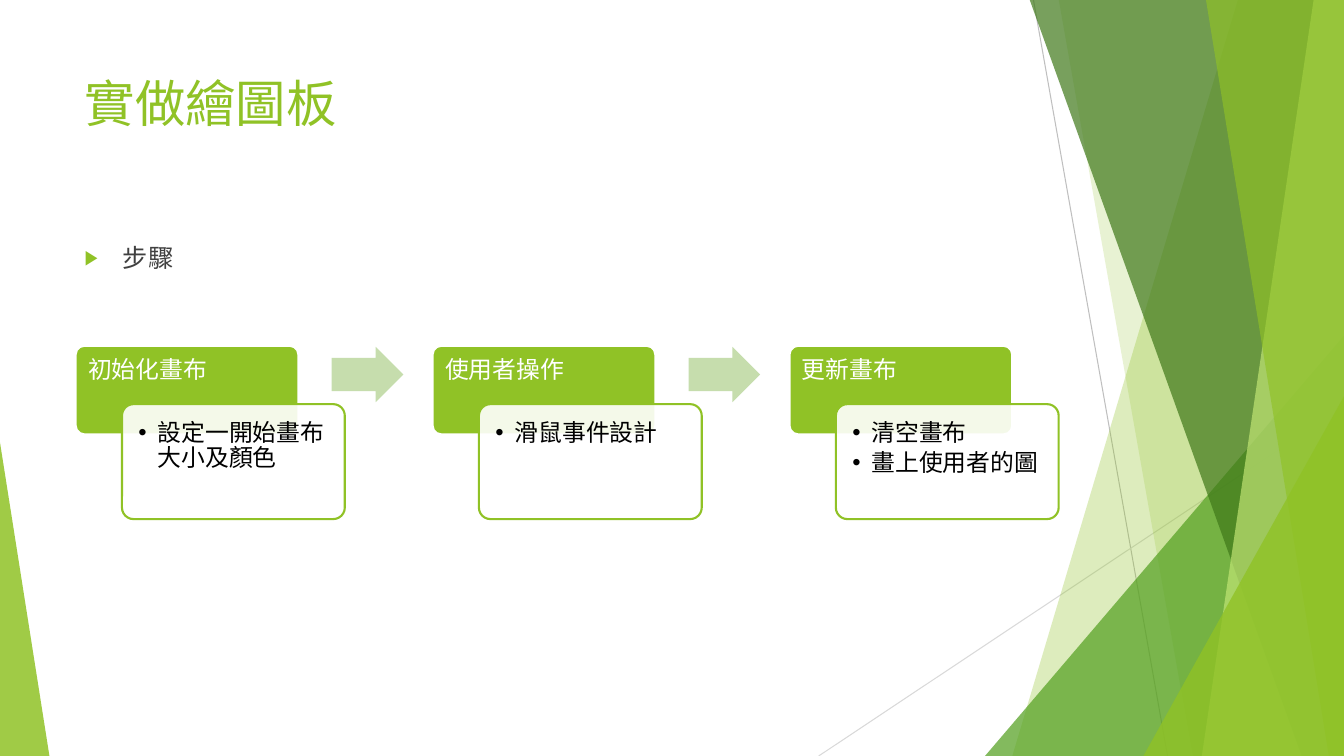
from pptx import Presentation
from pptx.dml.color import RGBColor
from pptx.enum.shapes import MSO_CONNECTOR as Connector, MSO_SHAPE as Shape
from pptx.enum.text import MSO_ANCHOR as Anchor, MSO_AUTO_SIZE as AutoSize, PP_ALIGN as Align
from pptx.oxml.ns import qn
from pptx.util import Inches, Pt
from lxml.etree import SubElement

FONT = "Lato"
WHITE = RGBColor(0xFF, 0xFF, 0xFF)
BLACK = RGBColor(0x00, 0x00, 0x00)
DARK_GRAY = RGBColor(0x40, 0x40, 0x40)
MID_GRAY = RGBColor(0xBF, 0xBF, 0xBF)
LIGHT_GRAY = RGBColor(0xD9, 0xD9, 0xD9)
LIME = RGBColor(0x90, 0xC2, 0x26)
LEAF = RGBColor(0x54, 0xA0, 0x21)
FOREST = RGBColor(0x3F, 0x78, 0x19)
PALE_LIME = RGBColor(0xC0, 0xE4, 0x74)
PALE_GREEN = RGBColor(0xC6, 0xDD, 0xAD)

WIDTH, HEIGHT = 13.33, 7.5
STEP_LEFT, STEP_PITCH = 0.75, 3.54
STEPS = [
    ("初始化畫布", ["設定一開始畫布大小及顏色"]),
    ("使用者操作", ["滑鼠事件設計"]),
    ("更新畫布", ["清空畫布", "畫上使用者的圖"]),
]


def paint(shape, color, opacity=100, line=None):
    shape.shadow.inherit = False
    shape.fill.solid()
    shape.fill.fore_color.rgb = color
    if opacity < 100:
        rgb = shape.element.spPr.find(qn("a:solidFill")).find(qn("a:srgbClr"))
        SubElement(rgb, qn("a:alpha"), val=str(opacity * 1000))
    if line is None:
        shape.line.fill.background()
    else:
        shape.line.color.rgb = line
        shape.line.width = Pt(1.5)


def add_preset(page, kind, left, top, width, height, adjustments):
    shape = page.shapes.add_shape(
        kind, Inches(left), Inches(top), Inches(width), Inches(height))
    for index, value in enumerate(adjustments):
        shape.adjustments[index] = value
    return shape


def add_line(page, start, end, color):
    line = page.shapes.add_connector(
        Connector.STRAIGHT, *(Inches(value) for value in start + end))
    line.line.color.rgb = color
    line.line.width = Pt(0.75)
    SubElement(line.element.spPr, qn("a:effectLst"))


def add_facet(page, top_left, bottom_left, color, opacity):
    """Full-height panel with a slanted left edge, reaching the right slide edge."""
    corners = [(top_left, -0.01), (WIDTH, -0.01), (WIDTH, HEIGHT), (bottom_left, HEIGHT)]
    points = [(Inches(x), Inches(y)) for x, y in corners]
    builder = page.shapes.build_freeform(*points[0], scale=1.0)
    builder.add_line_segments(points[1:], close=True)
    paint(builder.convert_to_shape(), color, opacity)


def add_corner(page, left, top, width, apex, color, opacity):
    """Right triangle standing on the bottom edge of the slide."""
    triangle = add_preset(
        page, Shape.ISOSCELES_TRIANGLE, left, top, width, HEIGHT - top, [apex])
    paint(triangle, color, opacity)


def add_bullet(para, char, indent, color=None, size=100):
    props = para._p.get_or_add_pPr()
    props.set("marL", str(Inches(indent)))
    props.set("indent", str(-Inches(indent)))
    if color is not None:
        SubElement(SubElement(props, qn("a:buClr")), qn("a:srgbClr"), val=str(color))
    SubElement(props, qn("a:buSzPct"), val=str(size * 1000))
    SubElement(props, qn("a:buFont"), typeface="Arial")
    SubElement(props, qn("a:buChar"), char=char)


def write(frame, lines, size, color, inset=(0.1, 0.05), spacing=None, after=0):
    frame.word_wrap = True
    frame.auto_size = AutoSize.NONE
    frame.vertical_anchor = Anchor.TOP
    frame.margin_left = frame.margin_right = Inches(inset[0])
    frame.margin_top = frame.margin_bottom = Inches(inset[1])
    for index, text in enumerate(lines):
        para = frame.paragraphs[0] if index == 0 else frame.add_paragraph()
        para.alignment = Align.LEFT
        para.line_spacing = spacing
        para.space_after = Pt(after)
        span = para.add_run()
        span.text = text
        span.font.name = FONT
        span.font.size = Pt(size)
        span.font.color.rgb = color


def add_backdrop(page):
    add_line(page, (10.25, 0), (11.58, HEIGHT), MID_GRAY)
    add_line(page, (WIDTH, 4.03), (8.12, HEIGHT), LIGHT_GRAY)
    add_facet(page, 12.28, 10.04, LIME, 30)
    add_facet(page, 10.5, 11.83, LIME, 20)
    add_corner(page, 9.77, 3.33, 3.56, 1, LEAF, 72)
    add_facet(page, 10.21, 12.91, FOREST, 70)
    add_facet(page, 13.03, 11.92, PALE_LIME, 70)
    add_facet(page, 11.96, 13.18, LIME, 65)
    add_corner(page, 11.34, 3.93, 1.99, 1, LIME, 80)
    add_corner(page, 0, 4.39, 0.49, 0, LIME, 85)


def add_title(page, text):
    title = page.shapes.title
    title.left, title.top = Inches(0.74), Inches(0.67)
    title.width, title.height = Inches(9.4), Inches(1.44)
    write(title.text_frame, [text], 36, LIME)


def add_intro(page, text):
    box = page.shapes.add_textbox(Inches(0.74), Inches(2.36), Inches(9.4), Inches(0.6))
    write(box.text_frame, [text], 18, DARK_GRAY)
    para = box.text_frame.paragraphs[0]
    para.space_before = Pt(10)
    add_bullet(para, "▶", 0.38, LIME, 80)


def add_step(page, left, heading, details):
    header = add_preset(page, Shape.ROUNDED_RECTANGLE, left, 3.43, 2.21, 0.88, [0.1])
    paint(header, LIME, line=WHITE)
    write(header.text_frame, [heading], 17, WHITE, inset=(0.1, 0.1), spacing=0.9)

    card = add_preset(page, Shape.ROUNDED_RECTANGLE, left + 0.46, 4.01, 2.21, 1.14, [0.1])
    paint(card, WHITE, 90, line=LIME)
    write(card.text_frame, details, 17, BLACK, inset=(0.13, 0.13), spacing=0.9, after=3)
    for para in card.text_frame.paragraphs:
        add_bullet(para, "•", 0.19)


def add_step_arrow(page, left):
    paint(add_preset(page, Shape.RIGHT_ARROW, left, 3.44, 0.71, 0.55, [0.6, 0.5]), PALE_GREEN)


def main():
    deck = Presentation()
    deck.slide_width, deck.slide_height = Inches(WIDTH), Inches(HEIGHT)
    page = deck.slides.add_slide(deck.slide_layouts[5])
    add_backdrop(page)
    add_title(page, "實做繪圖板")
    add_intro(page, "步驟")
    for index, (heading, details) in enumerate(STEPS):
        left = STEP_LEFT + index * STEP_PITCH
        add_step(page, left, heading, details)
        if index < len(STEPS) - 1:
            add_step_arrow(page, left + 2.54)
    deck.save("out.pptx")


if __name__ == "__main__":
    main()
